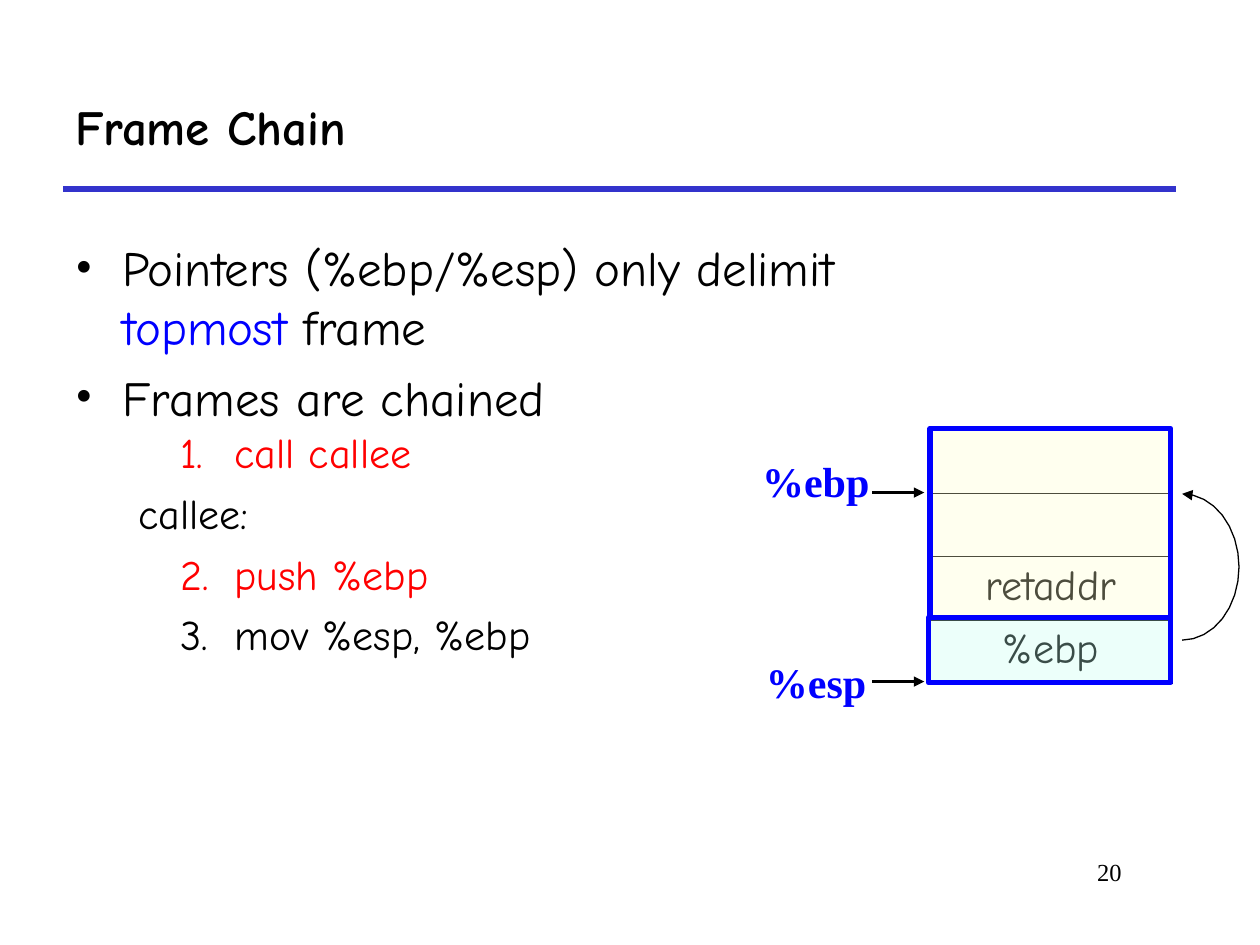
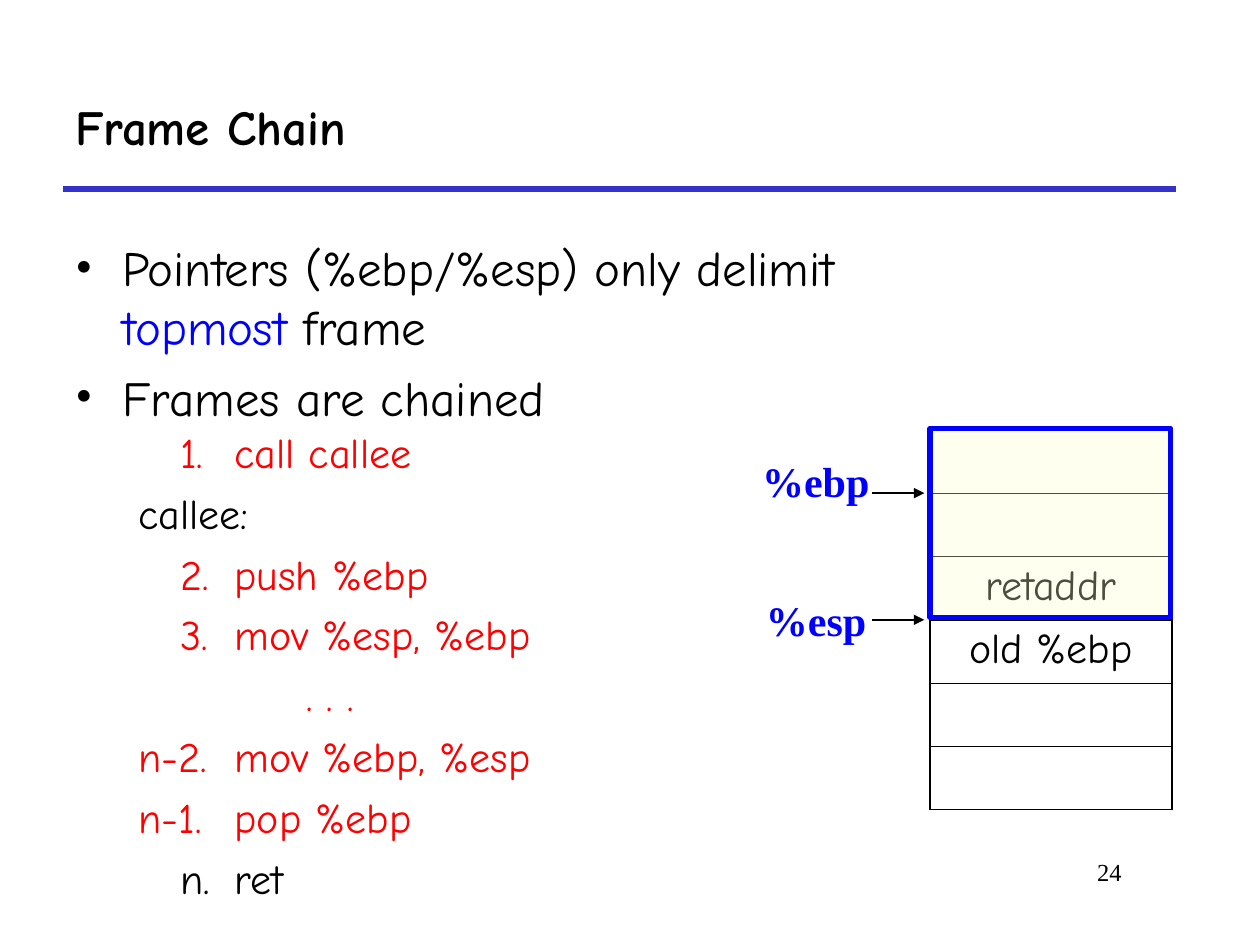
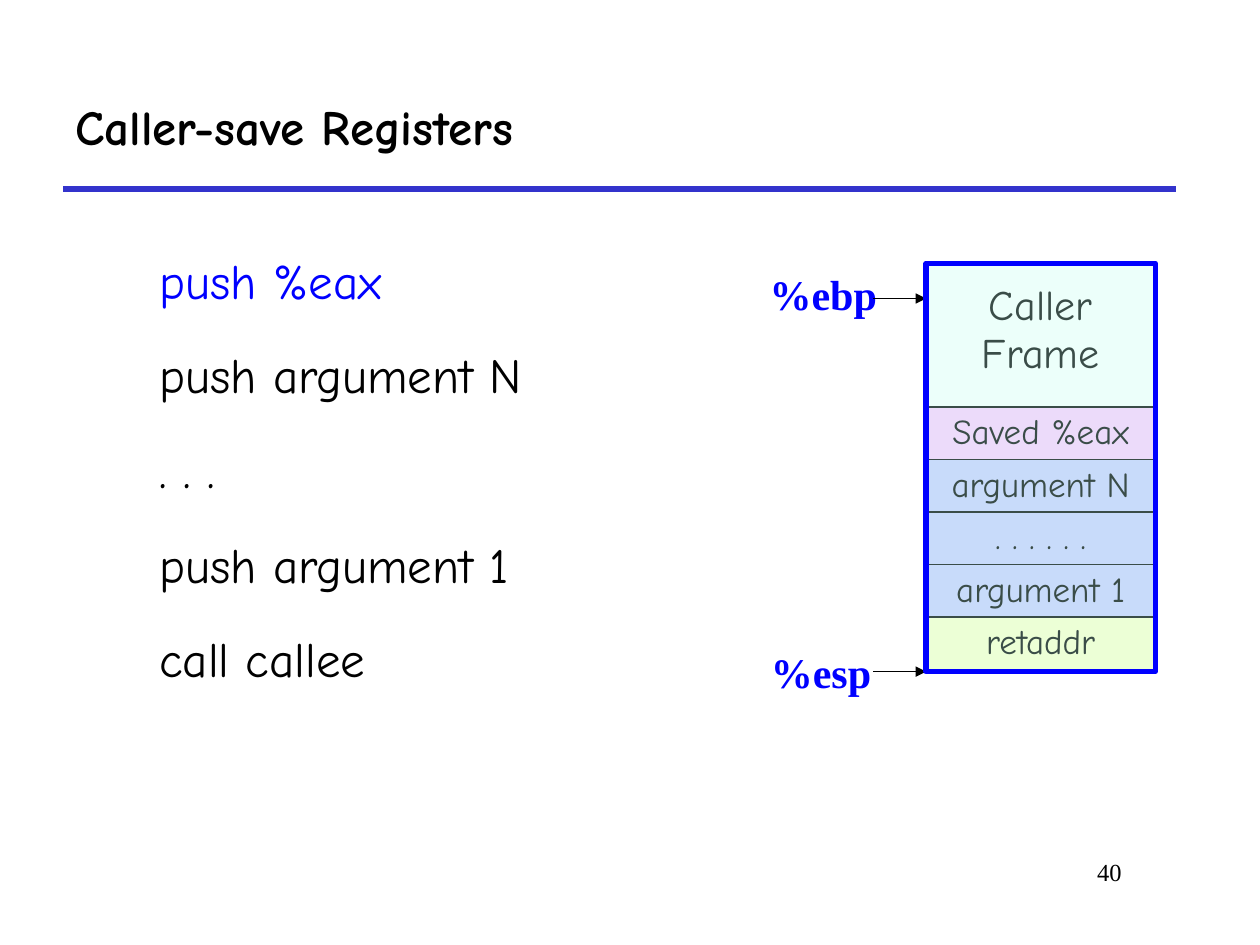
from math import cos, pi, sin
from typing import NamedTuple, Optional

from lxml.etree import SubElement
from pptx import Presentation
from pptx.dml.color import RGBColor
from pptx.enum.shapes import MSO_CONNECTOR, MSO_SHAPE
from pptx.enum.text import MSO_ANCHOR, PP_ALIGN
from pptx.oxml.ns import qn
from pptx.util import Pt

# Shared style
BLACK = RGBColor(0x00, 0x00, 0x00)
WHITE = RGBColor(0xFF, 0xFF, 0xFF)
BLUE = RGBColor(0x00, 0x00, 0xFF)
RED = RGBColor(0xFF, 0x00, 0x00)
RULE_BLUE = RGBColor(0x33, 0x33, 0xCC)
MINT = RGBColor(0xC2, 0xFF, 0xF0)
CREAM = RGBColor(0xFF, 0xFF, 0xCC)
PINK = RGBColor(0xFF, 0xCC, 0xFF)
LAVENDER = RGBColor(0xCC, 0xCC, 0xFF)
COMIC = "Comic Neue"
TIMES = "Times New Roman"


class Box(NamedTuple):
    left: float
    top: float
    width: float
    height: float

    def lengths(self) -> list:
        return [Pt(value) for value in self]


class Pointer(NamedTuple):
    name: str
    left: float
    top: float
    arrow_y: float


class Step(NamedTuple):
    text: str
    color: RGBColor = RED
    start: float = 60
    hang: float = 91


class Slot(NamedTuple):
    text: str
    fill: RGBColor


# Stack geometry
STACK = Box(531.4, 246.2, 138.2, 36)  # the height is that of one slot
FRAME = Box(531.4, 244.8, 137.5, 108)
CALLEE_FRAME = Box(530.6, 352.8, 138.3, 37.4)
CALLER_STACK = Box(529.2, 150.5, 131, 233.3)
SLOT_TOP, SLOT_PITCH, SLOT_HEIGHT = 232.6, 30, 31
ARROW_START, ARROW_END = 498.5, 528.2
POINTER_WIDTH, POINTER_HEIGHT = 82, 36


def write(paragraph, text: str, *, size: float = 24, color: RGBColor = BLACK,
          font: str = COMIC, bold: bool = False, align=None,
          before: Optional[float] = None, spacing: Optional[float] = None) -> None:
    """Append formatted text to a paragraph; a line feed breaks the line."""
    for index, line in enumerate(text.split("\n")):
        if index:
            paragraph.add_line_break()
        run = paragraph.add_run()
        run.text = line
        run.font.size, run.font.name, run.font.bold = Pt(size), font, bold
        run.font.color.rgb = color
    if align is not None:
        paragraph.alignment = align
    if before is not None:
        paragraph.space_before = Pt(before)
    if spacing is not None:
        paragraph.line_spacing = spacing


def add_frame(slide, box: Box, anchor=MSO_ANCHOR.TOP):
    frame = slide.shapes.add_textbox(*box.lengths()).text_frame
    frame.word_wrap = True
    frame.vertical_anchor = anchor
    return frame


def next_paragraph(frame, index: int):
    return frame.add_paragraph() if index else frame.paragraphs[0]


def indent(paragraph, left: float, first: float, bullet: str = "") -> None:
    properties = paragraph._p.get_or_add_pPr()
    properties.set("marL", str(Pt(left)))
    properties.set("indent", str(Pt(first)))
    if bullet:
        SubElement(properties, qn("a:buFont")).set("typeface", TIMES)
        SubElement(properties, qn("a:buChar")).set("char", bullet)


def add_arrowhead(shape, end: str) -> None:
    line = shape.line._get_or_add_ln()
    SubElement(line, qn(f"a:{end}")).set("type", "triangle")


def add_line(slide, x1: float, y1: float, x2: float, y2: float,
             color: RGBColor, width: float):
    line = slide.shapes.add_connector(
        MSO_CONNECTOR.STRAIGHT, Pt(x1), Pt(y1), Pt(x2), Pt(y2))
    line.line.color.rgb = color
    line.line.width = Pt(width)
    SubElement(line._element.spPr, qn("a:effectLst"))
    return line


def add_tinted_frame(slide, box: Box, color: RGBColor) -> None:
    shape = slide.shapes.add_shape(MSO_SHAPE.RECTANGLE, *box.lengths())
    shape.shadow.inherit = False
    shape.fill.solid()
    shape.fill.fore_color.rgb = color
    tint = shape.fill._xPr.find(qn("a:solidFill"))[0]
    SubElement(tint, qn("a:alpha")).set("val", "30000")
    shape.line.color.rgb = BLUE
    shape.line.width = Pt(3)


def set_borders(cell, side_width: float, row_width: float) -> None:
    properties = cell._tc.get_or_add_tcPr()
    widths = {"lnL": side_width, "lnR": side_width,
              "lnT": row_width, "lnB": row_width}
    for index, (side, width) in enumerate(widths.items()):
        line = properties.makeelement(qn(f"a:{side}"), {"w": str(Pt(width))})
        fill = SubElement(line, qn("a:solidFill"))
        SubElement(fill, qn("a:srgbClr")).set("val", str(BLACK))
        properties.insert(index, line)


def add_stack(slide, box: Box, texts: list[str], *, fill: Optional[RGBColor] = WHITE,
              size: float = 24, row_line: float = 1.08, margin_top: float = 3.6) -> None:
    """Draw one column of equal slots; the box is the top slot."""
    left, top, width, height = box.lengths()
    table = slide.shapes.add_table(
        len(texts), 1, left, top, width, height * len(texts)).table
    table.first_row = table.horz_banding = False
    for row, text in enumerate(texts):
        table.rows[row].height = height
        cell = table.cell(row, 0)
        cell.margin_top = Pt(margin_top)
        if fill is None:
            cell.fill.background()
        else:
            cell.fill.solid()
            cell.fill.fore_color.rgb = fill
        set_borders(cell, 1.08, row_line)
        if text:
            write(cell.text_frame.paragraphs[0], text, size=size,
                  align=PP_ALIGN.CENTER)


def add_pointer(slide, pointer: Pointer, width: float = 1.5,
                start: float = ARROW_START, end: float = ARROW_END) -> None:
    frame = add_frame(
        slide, Box(pointer.left, pointer.top, POINTER_WIDTH, POINTER_HEIGHT))
    write(frame.paragraphs[0], pointer.name, color=BLUE, font=TIMES, bold=True)
    arrow = add_line(slide, start, pointer.arrow_y, end, pointer.arrow_y, BLACK, width)
    add_arrowhead(arrow, "tailEnd")


def add_return_arc(slide) -> None:
    """Half an ellipse from the saved pointer up to the slot it refers to."""
    center_x, center_y, radius_x, radius_y, parts = 675.5, 324, 32.5, 41.8, 16
    points = [(Pt(center_x + radius_x * sin(pi * part / parts)),
               Pt(center_y - radius_y * cos(pi * part / parts)))
              for part in range(parts + 1)]
    builder = slide.shapes.build_freeform(*points[0], scale=1.0)
    builder.add_line_segments(points[1:], close=False)
    arc = builder.convert_to_shape()
    arc.shadow.inherit = False
    arc.fill.background()
    arc.line.color.rgb = BLACK
    arc.line.width = Pt(0.75)
    add_arrowhead(arc, "headEnd")


def add_base(presentation, title: str, number: int):
    """Add a slide with the rule, title and page number all slides share."""
    slide = presentation.slides.add_slide(presentation.slide_layouts[6])
    add_line(slide, 36, 108, 672, 108, RULE_BLUE, 3)
    heading = add_frame(slide, Box(36, 36, 636, 72), anchor=MSO_ANCHOR.MIDDLE)
    write(heading.paragraphs[0], title, size=28, bold=True)
    footer = add_frame(slide, Box(545.8, 486, 102.2, 36))
    write(footer.paragraphs[0], str(number), size=14, font=TIMES,
          align=PP_ALIGN.RIGHT)
    return slide


def add_chain_text(slide, steps: list[Step]) -> None:
    bullets = [
        [("Pointers (%ebp/%esp) only delimit ", BLACK), ("topmost ", BLUE),
         ("frame", BLACK)],
        [("Frames are chained", BLACK)],
    ]
    body = add_frame(slide, Box(36, 132, 477.4, 120))
    for index, parts in enumerate(bullets):
        paragraph = next_paragraph(body, index)
        indent(paragraph, 27, -27, "•")
        for text, color in parts:
            write(paragraph, text, size=28, color=color, before=7 if index else None)

    listing = add_frame(slide, Box(36, 240, 360, 36 * len(steps)))
    for index, step in enumerate(steps):
        paragraph = next_paragraph(listing, index)
        indent(paragraph, step.hang, step.start - step.hang)
        write(paragraph, step.text, color=step.color, before=6 if index else None)


def build_chain_after_push(presentation) -> None:
    slide = add_base(presentation, "Frame Chain", 20)
    add_stack(slide, STACK, ["", "", "retaddr", "%ebp"], row_line=0.45)
    add_tinted_frame(slide, CALLEE_FRAME, MINT)
    add_tinted_frame(slide, FRAME, CREAM)
    add_chain_text(slide, [
        Step("1.\tcall callee"),
        Step("callee:", BLACK, 36, 36),
        Step("2.\tpush %ebp"),
        Step("3.\tmov %esp, %ebp", BLACK),
    ])
    add_pointer(slide, Pointer("%ebp", 428.4, 257, 281.5))
    add_pointer(slide, Pointer("%esp", 430.6, 371.5, 389.5))
    add_return_arc(slide)


def build_chain_before_return(presentation) -> None:
    slide = add_base(presentation, "Frame Chain", 24)
    add_stack(slide, STACK, ["", "", "retaddr", "old %ebp", "", ""], row_line=0.45)
    add_tinted_frame(slide, FRAME, CREAM)
    add_chain_text(slide, [
        Step("1.\tcall callee"),
        Step("callee:", BLACK, 36, 36),
        Step("2.\tpush %ebp"),
        Step("3.\tmov %esp, %ebp"),
        Step(". . .", RED, 132, 132),
        Step("n-2.\tmov %ebp, %esp", RED, 36),
        Step("n-1.\tpop %ebp", RED, 36),
        Step("n.\tret", BLACK),
    ])
    add_pointer(slide, Pointer("%ebp", 428.4, 257, 281.8))
    add_pointer(slide, Pointer("%esp", 430.6, 336.2, 354.2))


def build_caller_save(presentation) -> None:
    slide = add_base(presentation, "Caller-save Registers", 40)
    body = add_frame(slide, Box(84, 126, 400, 348))
    lines = ["push %eax", "push argument N", ". . .", "push argument 1", "call callee"]
    for index, line in enumerate(lines):
        write(next_paragraph(body, index), line, size=28, spacing=1.4,
              color=BLACK if index else BLUE, before=7 if index else None)

    # Slots below the caller frame
    slots = [Slot("Saved %eax", PINK), Slot("argument N", LAVENDER),
             Slot(". . . . . .", LAVENDER), Slot("argument 1", LAVENDER),
             Slot("retaddr", CREAM)]
    for index, slot in enumerate(slots):
        box = Box(CALLER_STACK.left, SLOT_TOP + index * SLOT_PITCH,
                  CALLER_STACK.width, SLOT_HEIGHT)
        add_stack(slide, box, [slot.text], fill=slot.fill, size=20)

    for pointer in (Pointer("%ebp", 432.7, 149.8, 170.6),
                    Pointer("%esp", 433.4, 365.8, 383.8)):
        add_pointer(slide, pointer, width=0.75, start=499, end=CALLER_STACK.left)
    add_stack(slide, CALLER_STACK, ["Caller\nFrame"], fill=None, margin_top=10.8)
    add_tinted_frame(slide, CALLER_STACK, MINT)


def main() -> None:
    presentation = Presentation()
    presentation.slide_width, presentation.slide_height = Pt(720), Pt(540)
    build_chain_after_push(presentation)
    build_chain_before_return(presentation)
    build_caller_save(presentation)
    presentation.save("out.pptx")


if __name__ == "__main__":
    main()
